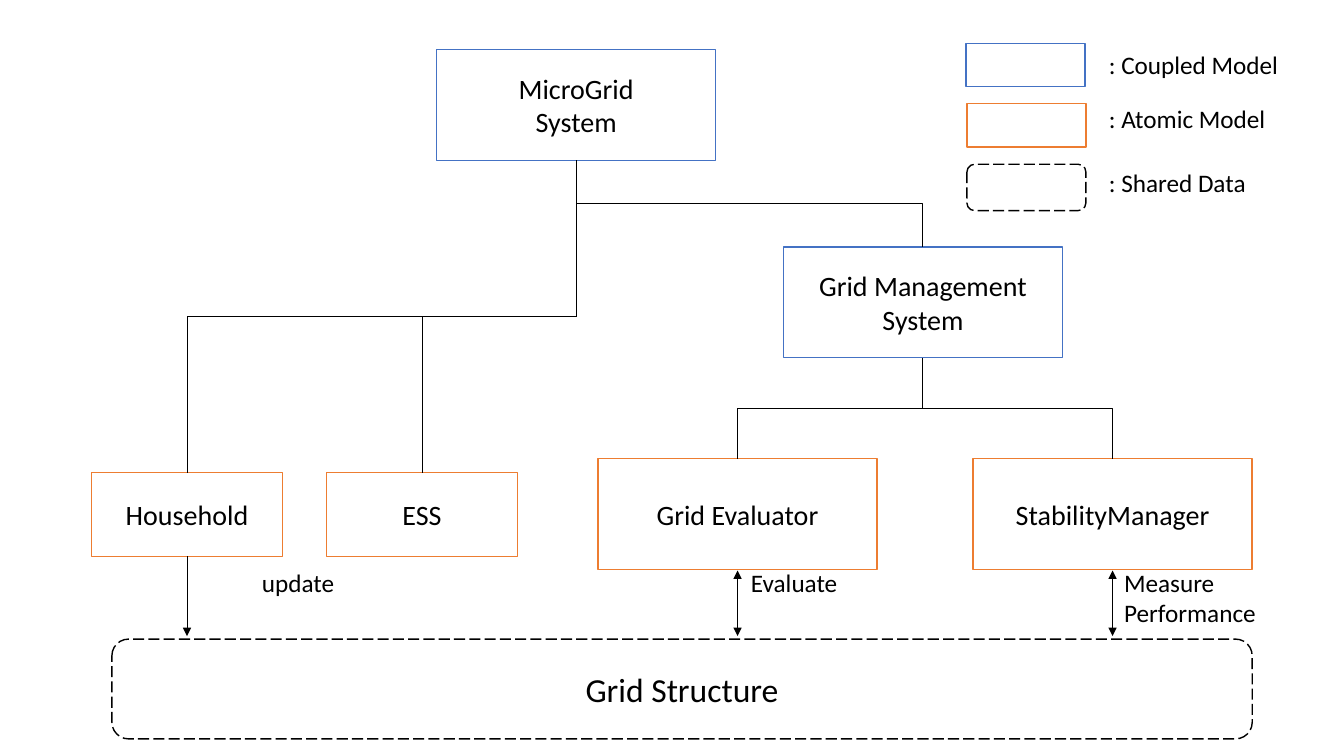
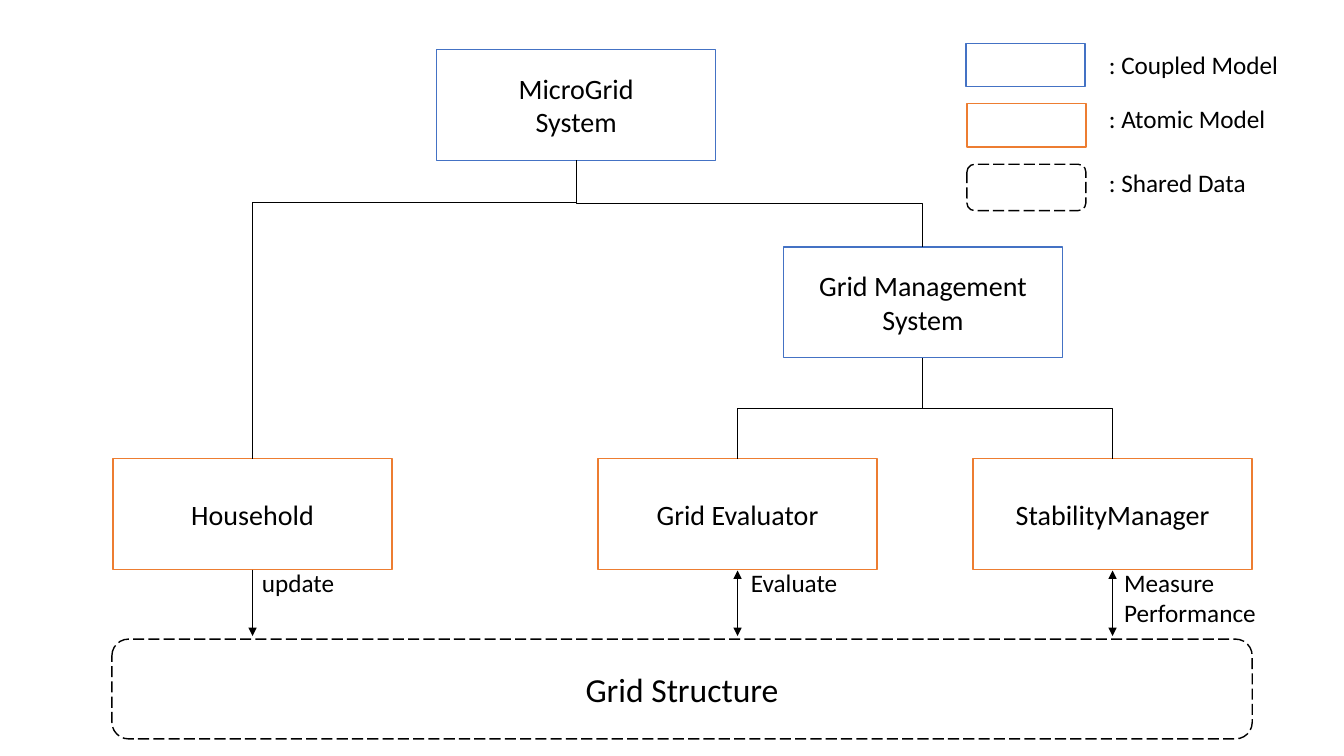
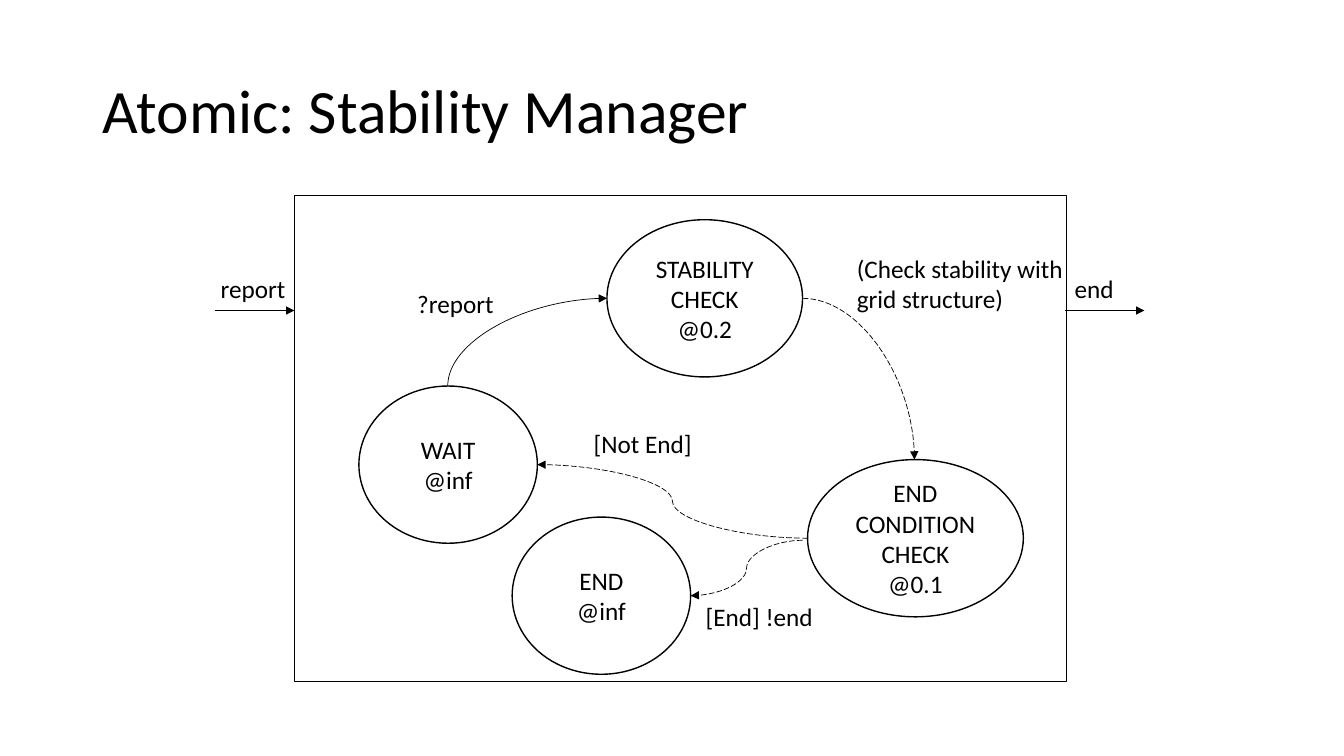
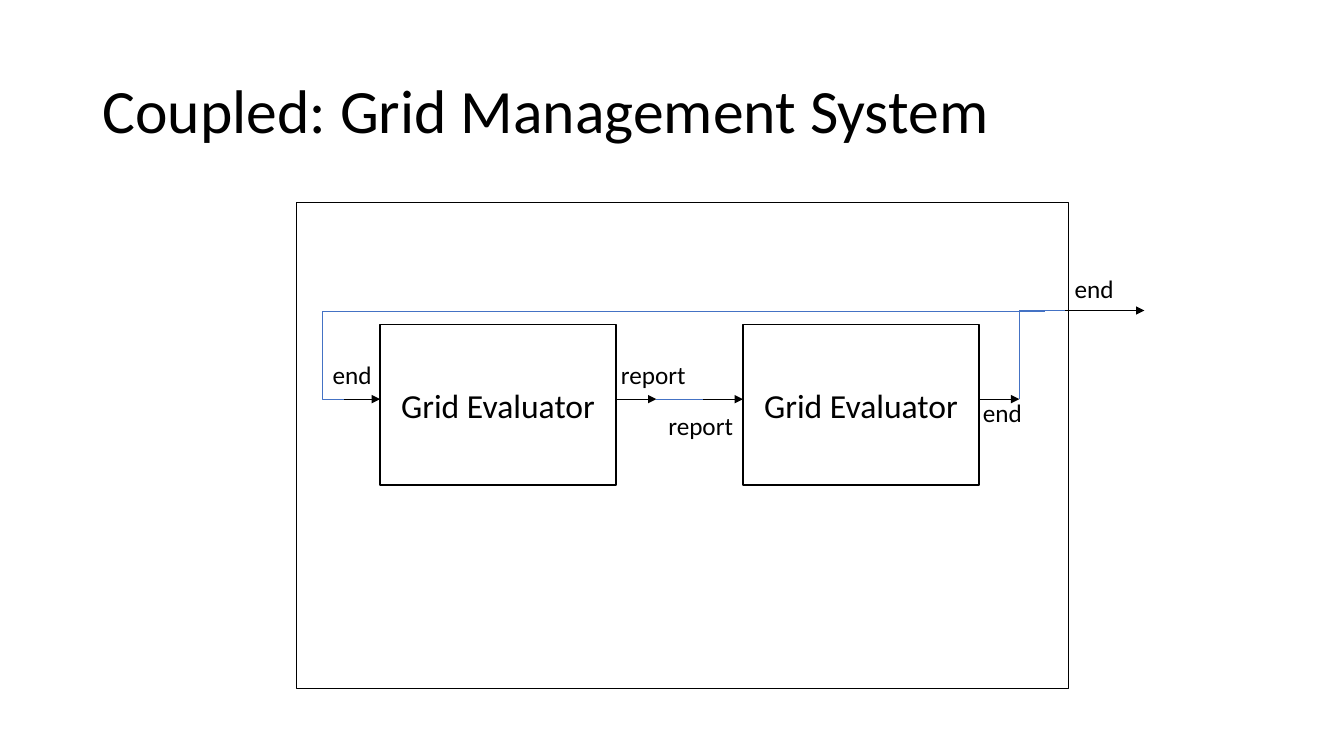
"""Build four slides on the structure and the behaviour of a microgrid model."""
from lxml.etree import SubElement
from pptx import Presentation
from pptx.dml.color import RGBColor
from pptx.enum.dml import MSO_LINE
from pptx.enum.shapes import MSO_CONNECTOR, MSO_SHAPE
from pptx.enum.text import MSO_ANCHOR, MSO_AUTO_SIZE, PP_ALIGN
from pptx.oxml.ns import qn
from pptx.util import Inches, Pt

BLACK, WHITE, COUPLED, ATOMIC = "000000", "FFFFFF", "4472C4", "ED7D31"
RECT, ROUND, OVAL = MSO_SHAPE.RECTANGLE, MSO_SHAPE.ROUNDED_RECTANGLE, MSO_SHAPE.OVAL
STRAIGHT, ELBOW, CURVE = MSO_CONNECTOR.STRAIGHT, MSO_CONNECTOR.ELBOW, MSO_CONNECTOR.CURVE
FONT = {"name": "Calibri", "bold": False}
LABEL_FRAME = {"word_wrap": False, "auto_size": MSO_AUTO_SIZE.SHAPE_TO_FIT_TEXT}
BLOCK_FRAME = {"word_wrap": True, "vertical_anchor": MSO_ANCHOR.MIDDLE}
TURNS = {
    (False, True): {"rot": "5400000"},
    (True, True): {"rot": "16200000", "flipH": "1"},
    (True, False): {"rot": "5400000", "flipH": "1", "flipV": "1"},
}


def place(slide, at, text="", size=18, form=None, color=BLACK, dash=None, frame=BLOCK_FRAME):
    """Place text in an outlined form, or as a bare text box when no form is given."""
    area = [Inches(length) for length in at]
    if form is None:
        shape = slide.shapes.add_textbox(*area)
    else:
        shape = slide.shapes.add_shape(form, *area)
        shape.shadow.inherit = False
        shape.fill.solid()
        shape.fill.fore_color.rgb = RGBColor.from_string(WHITE)
        shape.line.color.rgb = RGBColor.from_string(color)
        shape.line.width = Pt(1)
        shape.line.dash_style = dash
    for key, value in frame.items():
        setattr(shape.text_frame, key, value)
    shape.text_frame.text = text
    for paragraph in shape.text_frame.paragraphs:
        paragraph.alignment = PP_ALIGN.LEFT if form is None else PP_ALIGN.CENTER
        for run in paragraph.runs:
            for key, value in {**FONT, "size": Pt(size)}.items():
                setattr(run.font, key, value)
            run.font.color.rgb = RGBColor.from_string(BLACK)
    return shape


def link(slide, start, end, kind=STRAIGHT, ends="", color=BLACK, dash=None,
         vertical=False, bend=None, preset=None):
    """Join two points; a vertical link leaves its start upwards or downwards."""
    (x1, y1), (x2, y2) = start, end
    line = slide.shapes.add_connector(kind, *[Inches(v) for v in (x1, y1, x2, y2)])
    line.line.color.rgb = RGBColor.from_string(color)
    line.line.width = Pt(0.5)
    line.line.dash_style = dash
    properties = line.element.spPr
    outline = properties.find(qn("a:ln"))
    for name in ends.split():
        SubElement(outline, qn(f"a:{name}End"), type="triangle")
    SubElement(properties, qn("a:effectLst"))
    geometry = properties.find(qn("a:prstGeom"))
    if preset:
        geometry.set("prst", preset)
    if bend is not None:
        SubElement(geometry.find(qn("a:avLst")), qn("a:gd"),
                   name="adj1", fmla=f"val {round(bend * 100000)}")
    if vertical:
        width, height = abs(y2 - y1), abs(x2 - x1)
        line.left, line.top = Inches((x1 + x2 - width) / 2), Inches((y1 + y2 - height) / 2)
        line.width, line.height = Inches(width), Inches(height)
        transform = properties.find(qn("a:xfrm"))
        for key in ("flipH", "flipV"):
            transform.attrib.pop(key, None)
        for key, value in TURNS[x2 > x1, y2 > y1].items():
            transform.set(key, value)


deck = Presentation()
deck.slide_width, deck.slide_height = Inches(13.33), Inches(7.5)
overview, simple_overview, stability, management = [
    deck.slides.add_slide(deck.slide_layouts[6]) for _ in range(4)]

system_out, management_in, management_out = (5.72, 1.59), (9.15, 2.45), (9.15, 3.55)
structures = [
    (overview, [("Household", (0.91, 4.69, 1.89, 0.83), 0.5),
                ("ESS", (3.24, 4.69, 1.89, 0.83), 0.5)]),
    (simple_overview, [("Household", (1.12, 4.55, 2.77, 1.1), 0.14)]),
]
for slide, members in structures:
    place(slide, (4.33, 0.49, 2.77, 1.1), "MicroGrid\vSystem", 20, RECT, COUPLED)
    place(slide, (7.77, 2.45, 2.77, 1.1), "Grid Management\vSystem", 20, RECT, COUPLED)
    link(slide, system_out, management_in, ELBOW, vertical=True, bend=0.5)
    place(slide, (1.11, 6.34, 11.31, 0.99), "Grid Structure", 24, ROUND, dash=MSO_LINE.LONG_DASH)

    for name, (left, top, width, height), bend in members:
        place(slide, (left, top, width, height), name, 20, RECT, ATOMIC)
        middle = left + width / 2
        link(slide, system_out, (middle, top), ELBOW, vertical=True, bend=bend)
        if name == "Household":
            link(slide, (middle, top + height), (middle, 6.31), ends="tail")
    place(slide, (2.5, 5.58, 0.93, 0.4), "update", frame=LABEL_FRAME)

    for name, left, action, action_at in [
            ("Grid Evaluator", 5.93, "Evaluate", (7.35, 5.58, 1.07, 0.4)),
            ("StabilityManager", 9.65, "Measure\nPerformance", (11.05, 5.58, 1.52, 0.71))]:
        middle = left + 2.77 / 2
        place(slide, (left, 4.55, 2.77, 1.1), name, 20, RECT, ATOMIC)
        link(slide, management_out, (middle, 4.55), ELBOW, vertical=True, bend=0.5)
        link(slide, (middle, 5.66), (middle, 6.31), ends="head tail")
        place(slide, action_at, action, frame=LABEL_FRAME)

    for meaning, label_top, label_width, key_at, form, color, dash in [
            (": Coupled Model", 0.44, 1.9, (9.58, 0.43, 1.18, 0.43), RECT, COUPLED, None),
            (": Atomic Model", 0.98, 1.77, (9.59, 1.03, 1.18, 0.43), RECT, ATOMIC, None),
            (": Shared Data", 1.61, 1.63, (9.59, 1.63, 1.18, 0.46), ROUND, BLACK,
             MSO_LINE.LONG_DASH)]:
        place(slide, key_at, form=form, color=color, dash=dash)
        place(slide, (10.9, label_top, label_width, 0.4), meaning, frame=LABEL_FRAME)

for slide, title, model_at in [
        (stability, "Atomic: Stability Manager", (2.92, 1.94, 7.66, 4.82)),
        (management, "Coupled: Grid Management System", (2.94, 2.01, 7.66, 4.82))]:
    heading = place(slide, (0.92, 0.4, 11.5, 1.45), title, 44)
    heading.text_frame.paragraphs[0].line_spacing = 0.9
    place(slide, model_at, form=RECT)
    place(slide, (10.56, 2.66, 0.59, 0.4), "end", frame=LABEL_FRAME)
    link(slide, (10.56, 3.08), (11.35, 3.08), ends="tail")

for state, left, top, width in [
        ("WAIT\n@inf", 3.56, 3.83, 1.77),
        ("STABILITY\vCHECK\n@0.2", 6.02, 2.18, 1.94),
        ("END\vCONDITION\vCHECK\n@0.1", 8.01, 4.56, 2.14),
        ("END\n@inf", 5.08, 5.13, 1.77)]:
    place(stability, (left, top, width, 1.56), state, form=OVAL)
for label, left, top, width, height in [
        ("report", 2.09, 2.66, 0.85, 0.4),
        ("?report", 4.04, 2.81, 0.97, 0.4),
        ("(Check stability with\vgrid structure)", 8.4, 2.46, 2.27, 0.71),
        ("[Not End]", 5.79, 4.2, 1.18, 0.4),
        ("[End] !end", 6.9, 5.92, 1.28, 0.4)]:
    place(stability, (left, top, width, height), label, frame=LABEL_FRAME)
link(stability, (2.13, 3.08), (2.92, 3.08), ends="tail")
link(stability, (4.44, 3.83), (6.02, 2.96), CURVE, "tail", vertical=True,
     preset="curvedConnector2")
for start, end, preset, bend in [
        ((7.96, 2.96), (9.07, 4.56), "curvedConnector2", None),
        ((8.01, 5.34), (5.33, 4.61), "curvedConnector3", 0.5),
        ((7.96, 5.36), (6.85, 5.91), "curvedConnector3", 0.5)]:
    link(stability, start, end, CURVE, "tail", dash=MSO_LINE.LONG_DASH, bend=bend, preset=preset)

for left in (3.77, 7.37):
    place(management, (left, 3.22, 2.34, 1.59), "Grid Evaluator", 24, RECT)
    for port in (left - 0.4, left + 2.34):
        link(management, (port, 3.96), (port + 0.4, 3.96), ends="tail")
for label, left, top, width in [
        ("end", 3.2, 3.52, 0.59), ("end", 9.65, 3.89, 0.59),
        ("report", 6.06, 3.52, 0.85), ("report", 6.53, 4.02, 0.85)]:
    place(management, (left, top, width, 0.4), label, frame=LABEL_FRAME)
link(management, (10.11, 3.96), (10.56, 3.08), ELBOW, color=COUPLED, vertical=True, bend=1)
link(management, (3.41, 3.96), (10.36, 3.09), ELBOW, color=COUPLED, bend=-0.03)
link(management, (6.51, 3.96), (6.97, 3.96), color=COUPLED)

deck.save("out.pptx")
